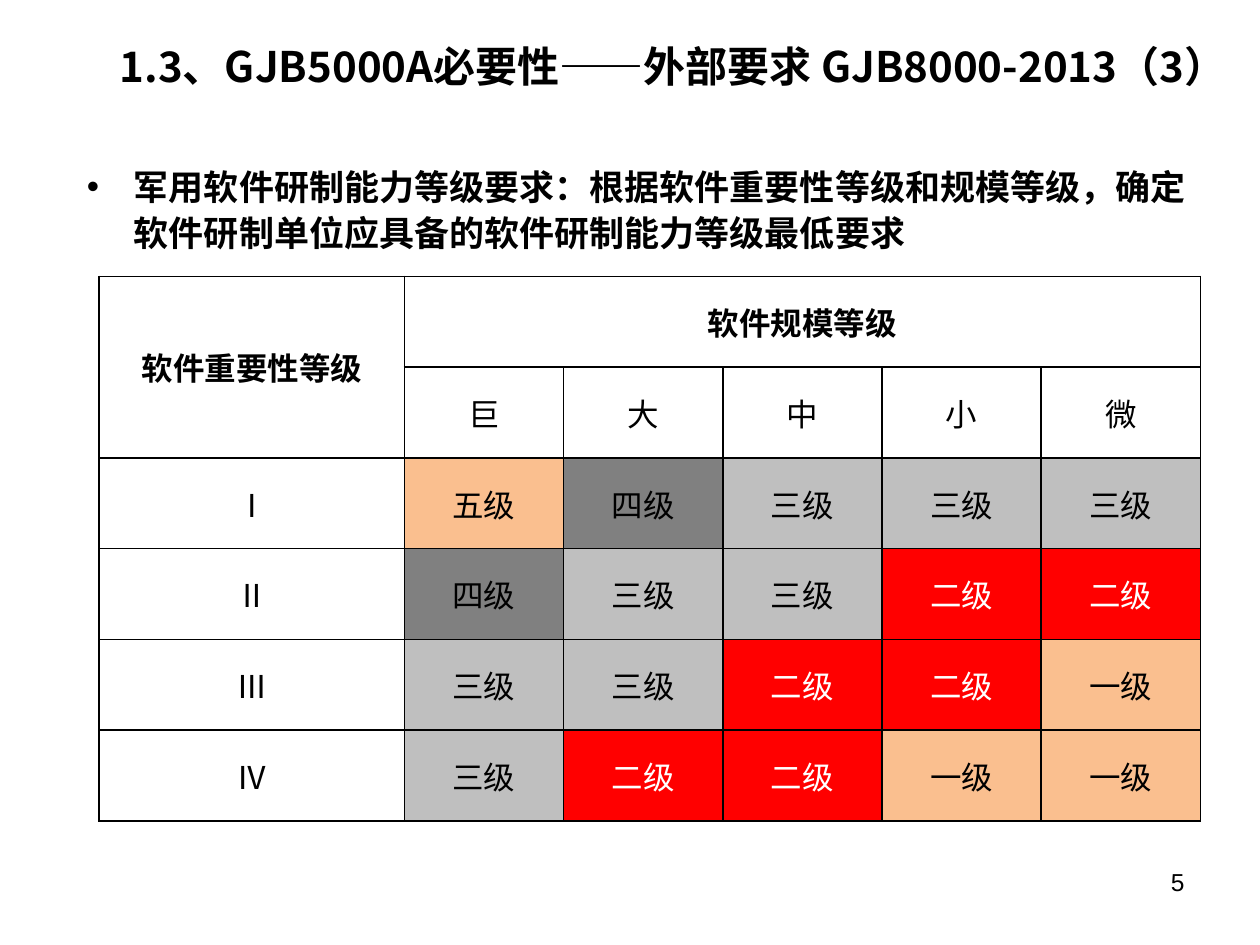
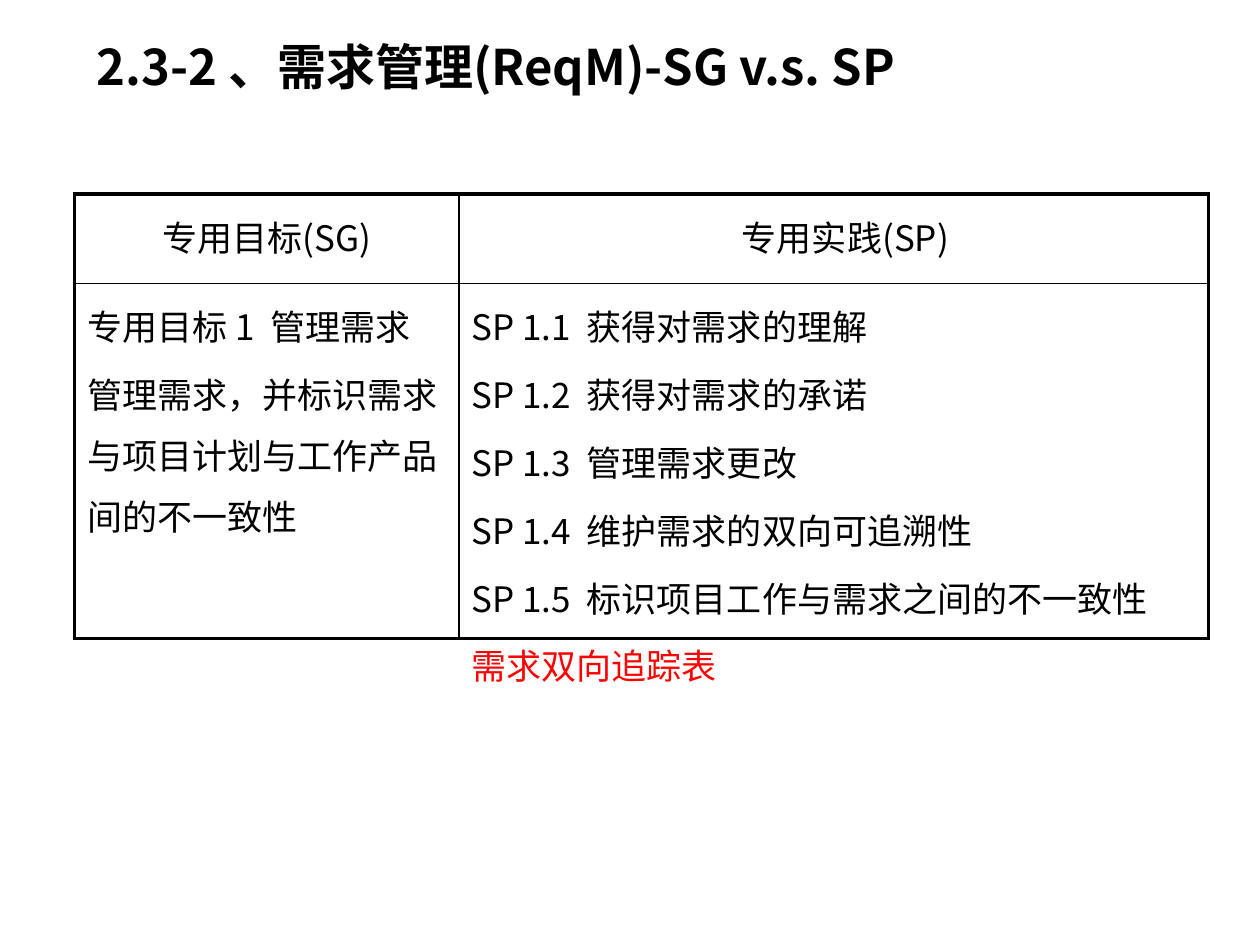
from dataclasses import dataclass

from lxml import etree
from pptx import Presentation
from pptx.dml.color import RGBColor
from pptx.enum import text
from pptx.oxml import ns
from pptx.util import Cm, Pt

LEFT, CENTER, RIGHT = text.PP_ALIGN.LEFT, text.PP_ALIGN.CENTER, text.PP_ALIGN.RIGHT
TOP, MIDDLE = text.MSO_ANCHOR.TOP, text.MSO_ANCHOR.MIDDLE


@dataclass(frozen=True)
class Theme:
    black: str = "000000"
    white: str = "FFFFFF"
    red: str = "FF0000"
    orange: str = "FABF8F"
    dark_gray: str = "808080"
    light_gray: str = "BFBFBF"
    font: str = "Noto Sans CJK SC"
    number_font: str = "Arial"
    title_size: int = 28
    long_title_size: int = 24
    body_size: int = 20
    grid_size: int = 18
    number_size: int = 14
    thin: float = 1
    thick: float = 2.25


THEME = Theme()
LEVEL_COLORS = {
    "五级": (THEME.orange, THEME.black),
    "四级": (THEME.dark_gray, THEME.black),
    "三级": (THEME.light_gray, THEME.black),
    "二级": (THEME.red, THEME.white),
    "一级": (THEME.orange, THEME.black),
}


def add_element(parent, tag, **attributes):
    return etree.SubElement(parent, ns.qn(tag), **attributes)


class Deck:
    def __init__(self, theme):
        self.theme = theme
        self.presentation = Presentation()
        self.presentation.slide_width = Cm(25.4)
        self.presentation.slide_height = Cm(19.05)
        self.slide = None

    def add_slide(self):
        self.slide = self.presentation.slides.add_slide(self.presentation.slide_layouts[6])

    def style(self, paragraph, size, color=None, bold=False, align=LEFT, font=None):
        paragraph.alignment = align
        for run in paragraph.runs:
            run.font.size = Pt(size)
            run.font.bold = bold
            run.font.color.rgb = RGBColor.from_string(color or self.theme.black)
            run.font.name = font or self.theme.font
            add_element(run.font._element, "a:ea", typeface=run.font.name)

    def add_text(self, content, box, size, anchor=TOP, **look):
        shape = self.slide.shapes.add_textbox(*map(Cm, box))
        frame = shape.text_frame
        frame.word_wrap = True
        frame.vertical_anchor = anchor
        frame.text = content
        self.style(frame.paragraphs[0], size, **look)
        return frame.paragraphs[0]

    def add_title(self, content, left, width, size, align=LEFT):
        self.add_text(content, (left, 0.33, width, 2), size, MIDDLE, bold=True, align=align)

    def add_bullet(self, content, box):
        paragraph = self.add_text(content, box, self.theme.body_size, bold=True)
        paragraph.line_spacing = 1.1
        properties = paragraph._p.get_or_add_pPr()
        properties.set("marL", str(Cm(0.95)))
        properties.set("indent", str(Cm(-0.95)))
        add_element(properties, "a:buFont", typeface=self.theme.number_font)
        add_element(properties, "a:buChar", char="•")

    def add_page_number(self, number):
        self.add_text(number, (18.2, 17.35, 5.93, 1.32), self.theme.number_size,
                      align=RIGHT, font=self.theme.number_font)

    def add_table(self, left, top, widths, heights, outer):
        """Add an unfilled table with thin inner lines and the given outer line width."""
        rows, columns = len(heights), len(widths)
        table = self.slide.shapes.add_table(
            rows, columns, Cm(left), Cm(top), Cm(sum(widths)), Cm(sum(heights))).table
        table.first_row = table.horz_banding = False
        for column, width in zip(table.columns, widths):
            column.width = Cm(width)
        for row, height in zip(table.rows, heights):
            row.height = Cm(height)
        for r in range(rows):
            for c in range(columns):
                cell = table.cell(r, c)
                edges = {"L": c == 0, "R": c == columns - 1, "T": r == 0, "B": r == rows - 1}
                for side, is_outer in edges.items():
                    self.add_border(cell, side, outer if is_outer else self.theme.thin)
                cell.fill.background()
        return table

    def add_border(self, cell, side, width):
        properties = cell._tc.get_or_add_tcPr()
        line = add_element(properties, f"a:ln{side}", w=str(Pt(width)))
        fill = add_element(line, "a:solidFill")
        add_element(fill, "a:srgbClr", val=self.theme.black)

    def fill_grid_cell(self, cell, content, bold):
        fill, color = LEVEL_COLORS.get(content, (None, self.theme.black))
        cell.margin_left = cell.margin_right = Cm(0.18)
        cell.margin_top = cell.margin_bottom = 0
        cell.vertical_anchor = MIDDLE
        cell.text = content
        self.style(cell.text_frame.paragraphs[0], self.theme.grid_size, color, bold, CENTER)
        if fill:
            cell.fill.solid()
            cell.fill.fore_color.rgb = RGBColor.from_string(fill)

    def fill_list_cell(self, cell, lines, align=LEFT, highlighted=()):
        cell.text = "\n".join(lines)
        for index, paragraph in enumerate(cell.text_frame.paragraphs):
            color = self.theme.red if paragraph.text in highlighted else self.theme.black
            self.style(paragraph, self.theme.body_size, color, align=align)
            paragraph.line_spacing = 1.2
            paragraph.space_before = Pt(4 if index else 0)


def build_capability_slide(deck):
    deck.add_slide()
    deck.add_title("1.3、GJB5000A必要性——外部要求 GJB8000-2013（3）",
                   1.83, 23.14, THEME.long_title_size, RIGHT)
    deck.add_bullet("军用软件研制能力等级要求：根据软件重要性等级和规模等级，"
                    "确定软件研制单位应具备的软件研制能力等级最低要求",
                    (1.5, 3.12, 22.86, 12.57))
    table = deck.add_table(2, 5.57, [6.15] + [3.21] * 5, [1.83] * 6, THEME.thin)
    table.cell(0, 0).merge(table.cell(1, 0))
    table.cell(0, 1).merge(table.cell(0, 5))
    grid = [
        ["软件重要性等级", "软件规模等级"],
        [None, "巨", "大", "中", "小", "微"],
        ["Ⅰ", "五级", "四级", "三级", "三级", "三级"],
        ["Ⅱ", "四级", "三级", "三级", "二级", "二级"],
        ["Ⅲ", "三级", "三级", "二级", "二级", "一级"],
        ["Ⅳ", "三级", "二级", "二级", "一级", "一级"],
    ]
    for r, row in enumerate(grid):
        for c, content in enumerate(row):
            if content:
                deck.fill_grid_cell(table.cell(r, c), content, bold=r == 0)
    deck.add_page_number("5")


def build_requirements_slide(deck):
    deck.add_slide()
    deck.add_title("2.3-2 、需求管理(ReqM)-SG v.s. SP", 1.7, 22.43, THEME.title_size)
    table = deck.add_table(1.5, 3.91, [7.75, 15.11], [1.8, 7.16], THEME.thick)
    deck.fill_list_cell(table.cell(0, 0), ["专用目标(SG)"], CENTER)
    deck.fill_list_cell(table.cell(0, 1), ["专用实践(SP)"], CENTER)
    table.cell(0, 1).margin_left = Cm(0.73)
    deck.fill_list_cell(table.cell(1, 0), [
        "专用目标 1  管理需求",
        "管理需求，并标识需求与项目计划与工作产品间的不一致性",
    ])
    practices = ["获得对需求的理解", "获得对需求的承诺", "管理需求更改",
                 "维护需求的双向可追溯性", "标识项目工作与需求之间的不一致性"]
    tracing = "需求双向追踪表"
    lines = [f"SP 1.{number}  {practice}" for number, practice in enumerate(practices, 1)]
    deck.fill_list_cell(table.cell(1, 1), lines + [tracing], highlighted=[tracing])


def main():
    deck = Deck(THEME)
    build_capability_slide(deck)
    build_requirements_slide(deck)
    deck.presentation.save("out.pptx")


if __name__ == "__main__":
    main()
